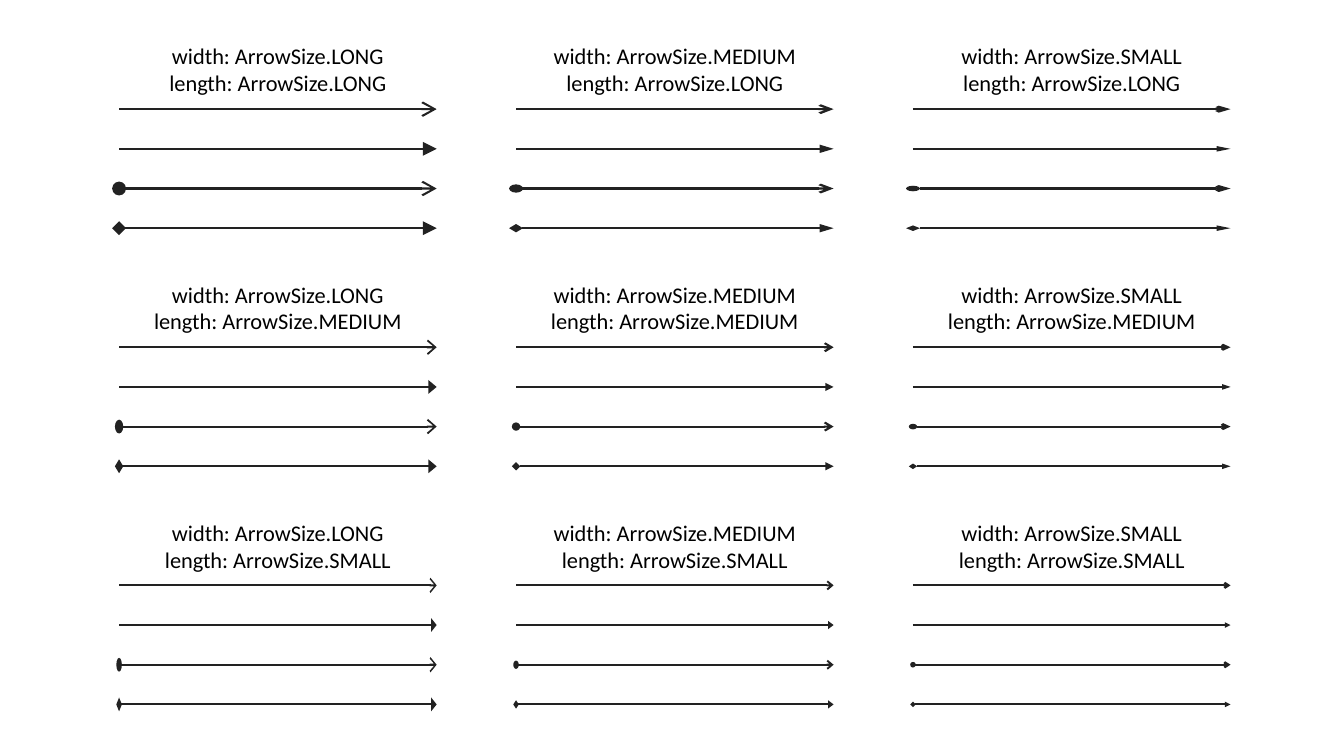
from lxml import etree
from pptx import Presentation
from pptx.dml.color import RGBColor
from pptx.enum.shapes import MSO_CONNECTOR
from pptx.enum.text import MSO_ANCHOR, PP_ALIGN
from pptx.oxml.ns import qn
from pptx.util import Inches, Pt

STRAIGHT = MSO_CONNECTOR.STRAIGHT
MIDDLE = MSO_ANCHOR.MIDDLE
CENTER = PP_ALIGN.CENTER

# Content: arrow sizes, and the head and tail of each line in a group
SIZES = [("LONG", "lg"), ("MEDIUM", "med"), ("SMALL", "sm")]
ARROWS = [(None, "arrow"), (None, "triangle"),
          ("oval", "arrow"), ("diamond", "triangle")]
INK, BLACK = "222222", "000000"

# Grid, in centimetres
LEFT, TOP = 3, 0.75
COL_STEP, ROW_STEP, LINE_STEP = 10, 6, 1
WIDTH, LABEL_H = 8, 2


def cm(num):
    return Inches(num / 2.54)


def color(code):
    return RGBColor.from_string(code)


def add_label(slide, x, y, lines):
    box = slide.shapes.add_textbox(cm(x), cm(y), cm(WIDTH), cm(LABEL_H))
    frame = box.text_frame
    frame.word_wrap = True
    frame.vertical_anchor = MIDDLE
    frame.margin_left = frame.margin_right = 0
    frame.margin_top = frame.margin_bottom = 0
    frame.text = "\n".join(lines)
    for para in frame.paragraphs:
        para.alignment = CENTER
        font = para.runs[0].font
        font.name, font.size = "Calibri", Pt(16)
        font.color.rgb = color(BLACK)


def add_arrow(slide, x, y, ends, wide, long):
    line = slide.shapes.add_connector(
        STRAIGHT, cm(x), cm(y), cm(x + WIDTH), cm(y))
    line.line.color.rgb = color(INK)
    line.line.width = Pt(1.5)
    props = line.line._get_or_add_ln()
    for tag, kind in zip(("a:headEnd", "a:tailEnd"), ends):
        if kind:
            etree.SubElement(props, qn(tag), type=kind, w=wide, len=long)
    etree.SubElement(props.getparent(), qn("a:effectLst"))


def main():
    prs = Presentation()
    prs.slide_width, prs.slide_height = Inches(13.33), Inches(7.5)
    slide = prs.slides.add_slide(prs.slide_layouts[6])

    # Columns vary the arrow width, rows vary its length
    for row, (long_name, long) in enumerate(SIZES):
        for col, (wide_name, wide) in enumerate(SIZES):
            x = LEFT + col * COL_STEP
            y = TOP + row * ROW_STEP
            add_label(slide, x, y, [f"width: ArrowSize.{wide_name}",
                                    f"length: ArrowSize.{long_name}"])
            for num, ends in enumerate(ARROWS):
                add_arrow(slide, x, y + LABEL_H + num * LINE_STEP,
                          ends, wide, long)

    prs.save("out.pptx")


if __name__ == "__main__":
    main()
